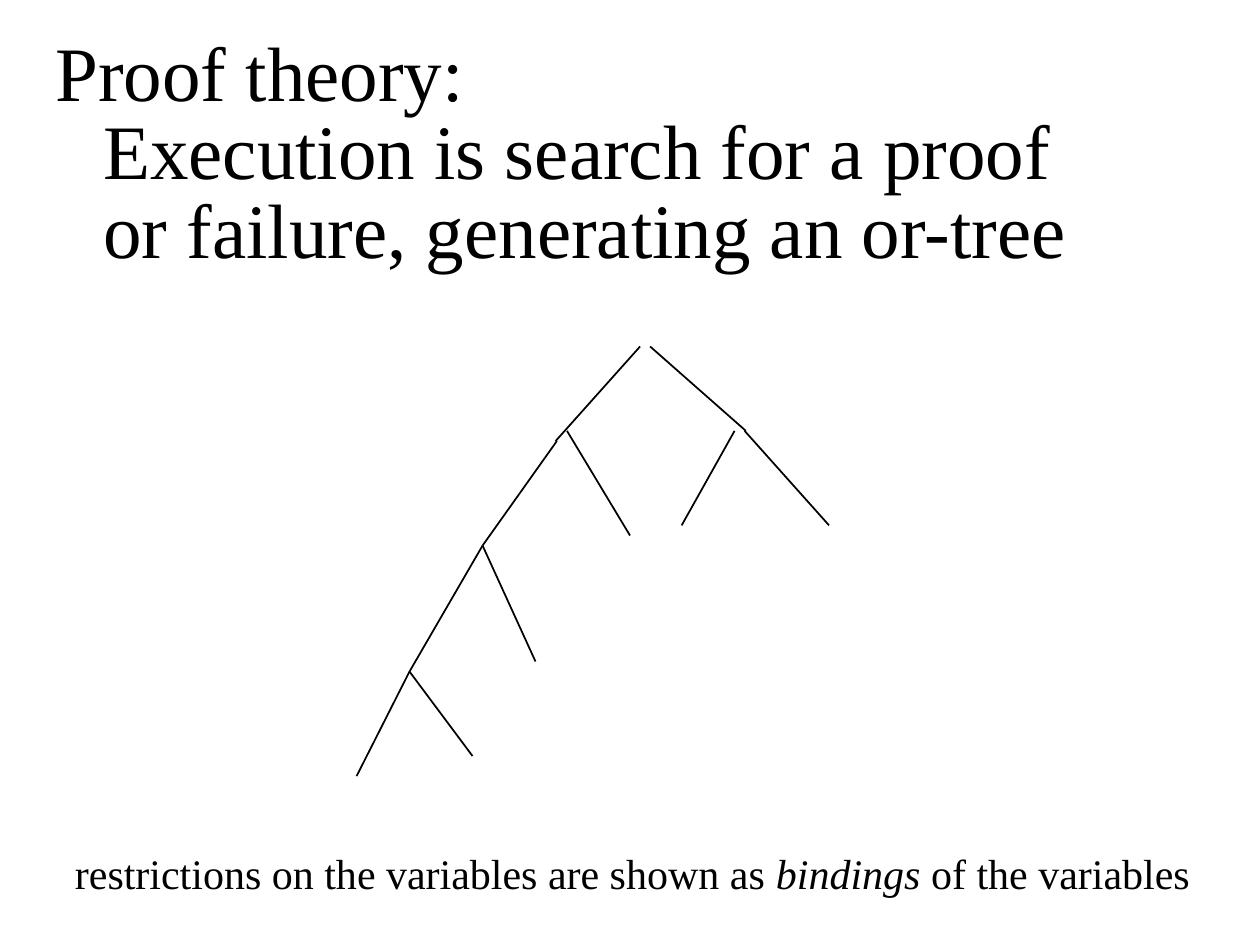
from dataclasses import dataclass

from lxml.etree import SubElement
from pptx import Presentation
from pptx.dml.color import RGBColor
from pptx.enum.shapes import MSO_CONNECTOR, MSO_SHAPE
from pptx.enum.text import MSO_ANCHOR, MSO_AUTO_SIZE, PP_ALIGN
from pptx.oxml.ns import qn
from pptx.util import Inches, Pt


@dataclass(frozen=True)
class Theme:
    """Colours, font and sizes of the slide."""
    ink: RGBColor = RGBColor(0, 0, 0)
    font: str = "Times New Roman"
    title: Pt = Pt(44)
    note: Pt = Pt(24)
    line: Pt = Pt(1)


THEME = Theme()
BRANCHES = [
    ((5.08, 2.75), (4.41, 3.5)),
    ((4.42, 3.5), (3.83, 4.33)),
    ((4.5, 3.42), (5, 4.25)),
    ((5.16, 2.75), (5.92, 3.42)),
    ((5.83, 3.42), (5.41, 4.17)),
    ((5.91, 3.42), (6.58, 4.17)),
    ((3.83, 4.33), (3.25, 5.33)),
    ((3.83, 4.33), (4.25, 5.25)),
    ((3.25, 5.33), (2.83, 6.16)),
    ((3.25, 5.33), (3.75, 6)),
]


def apply(obj, values):
    """Set each named attribute on an object."""
    for name, value in values.items():
        setattr(obj, name, value)


def place(shape, left, top, width, height):
    """Position a shape, in inches."""
    apply(shape, {"left": Inches(left), "top": Inches(top),
                  "width": Inches(width), "height": Inches(height)})


def format_frame(tf):
    """Give a text frame the common margins and anchor."""
    apply(tf, {"word_wrap": True, "auto_size": MSO_AUTO_SIZE.NONE,
               "vertical_anchor": MSO_ANCHOR.MIDDLE,
               "margin_left": Inches(0.02), "margin_right": Inches(0.02),
               "margin_top": Inches(0.05), "margin_bottom": Inches(0.05)})


def format_run(r, size, italic=False):
    """Style one run of text."""
    apply(r.font, {"name": THEME.font, "size": size, "italic": italic})
    r.font.color.rgb = THEME.ink


def add_title(s, text):
    """Fill the title placeholder with a hanging-indent heading."""
    title = s.shapes.title
    place(title, 0.42, 0.11, 8.58, 2.26)
    tf = title.text_frame
    tf.text = text
    format_frame(tf)
    p = tf.paragraphs[0]
    apply(p, {"alignment": PP_ALIGN.LEFT, "line_spacing": 0.85,
              "space_before": Pt(5.1)})
    pPr = p._p.get_or_add_pPr()
    pPr.set("marL", str(Inches(0.38)))
    pPr.set("indent", str(-Inches(0.38)))
    for r in p.runs:
        format_run(r, THEME.title)


def add_tree(s, branches):
    """Draw the branches of the tree as one group of lines."""
    group = s.shapes.add_group_shape()
    for start, end in branches:
        points = [Inches(v) for v in (*start, *end)]
        line = group.shapes.add_connector(MSO_CONNECTOR.STRAIGHT, *points)
        line.line.width = THEME.line
        line.line.color.rgb = THEME.ink
        SubElement(line._element.spPr, qn("a:effectLst"))


def add_note(s, parts):
    """Add the closing remark from (text, italic) parts."""
    sp = s.shapes.add_shape(MSO_SHAPE.ROUNDED_RECTANGLE, 0, 0, 0, 0)
    place(sp, 0.5, 6.67, 9.04, 0.57)
    sp.adjustments[0] = 0.003
    sp.shadow.inherit = False
    sp.fill.background()
    sp.line.fill.background()
    format_frame(sp.text_frame)
    p = sp.text_frame.paragraphs[0]
    apply(p, {"alignment": PP_ALIGN.CENTER, "line_spacing": 0.85,
              "space_before": Pt(4.9), "space_after": Pt(4.9)})
    for text, italic in parts:
        r = p.add_run()
        r.text = text
        format_run(r, THEME.note, italic)


def main():
    """Build and save the slide."""
    prs = Presentation()
    apply(prs, {"slide_width": Inches(10), "slide_height": Inches(7.5)})
    s = prs.slides.add_slide(prs.slide_layouts[5])
    add_title(s, "Proof theory:\vExecution is search for a proof "
                 "or failure, generating an or-tree")
    add_tree(s, BRANCHES)
    add_note(s, [("restrictions on the variables are shown as ", False),
                 ("bindings", True), (" of the variables", False)])
    prs.save("out.pptx")


if __name__ == "__main__":
    main()
